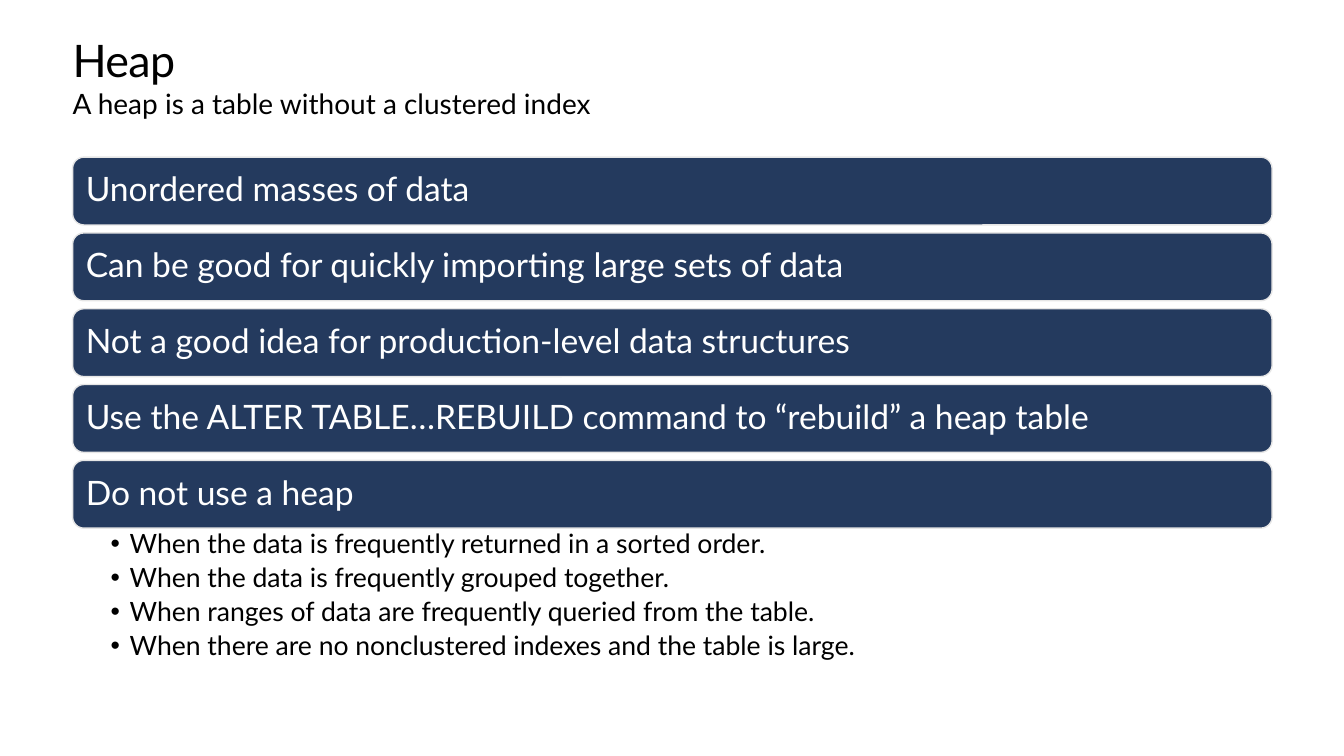
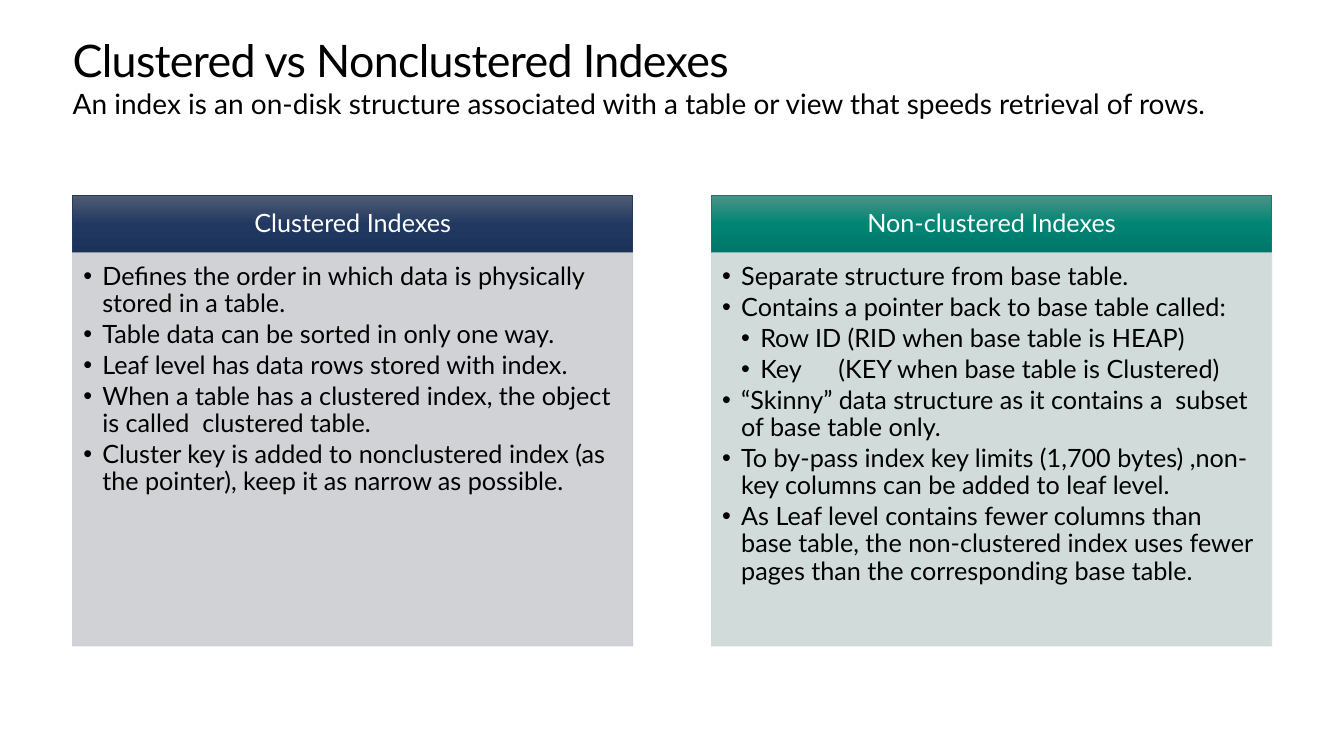
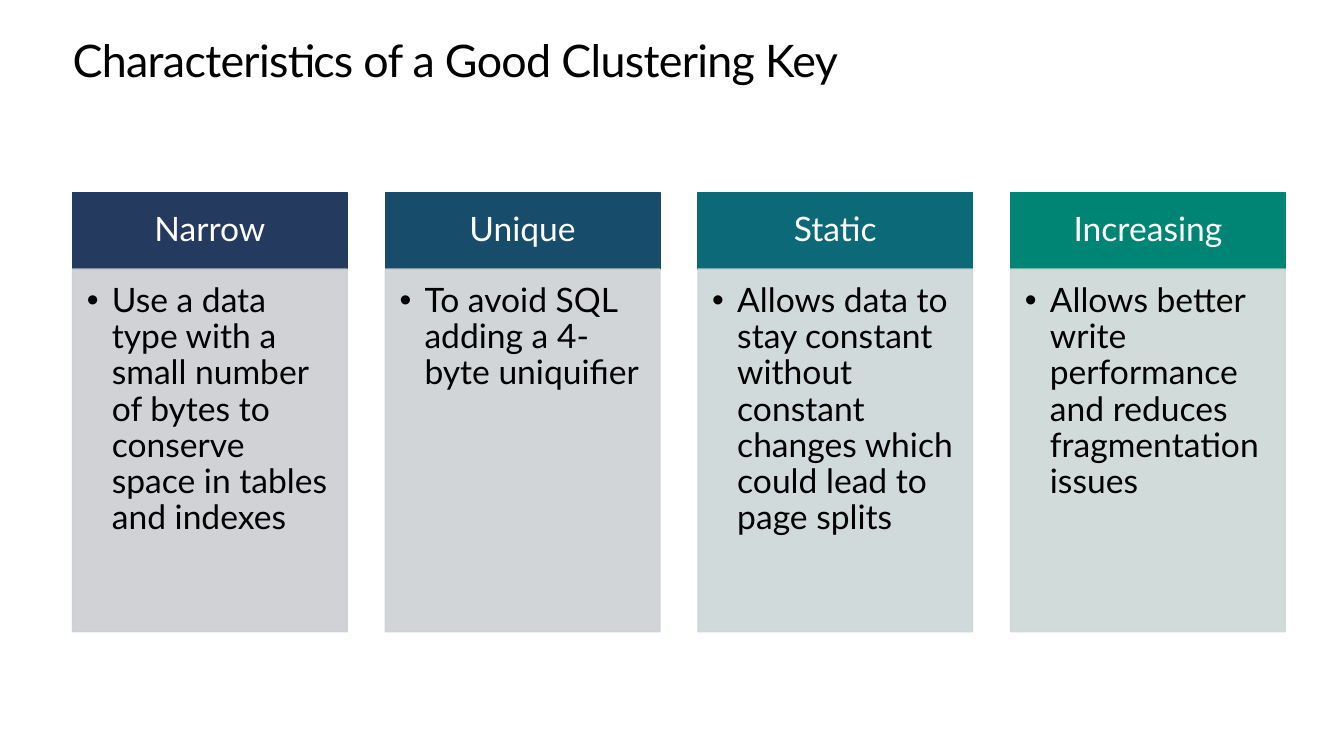
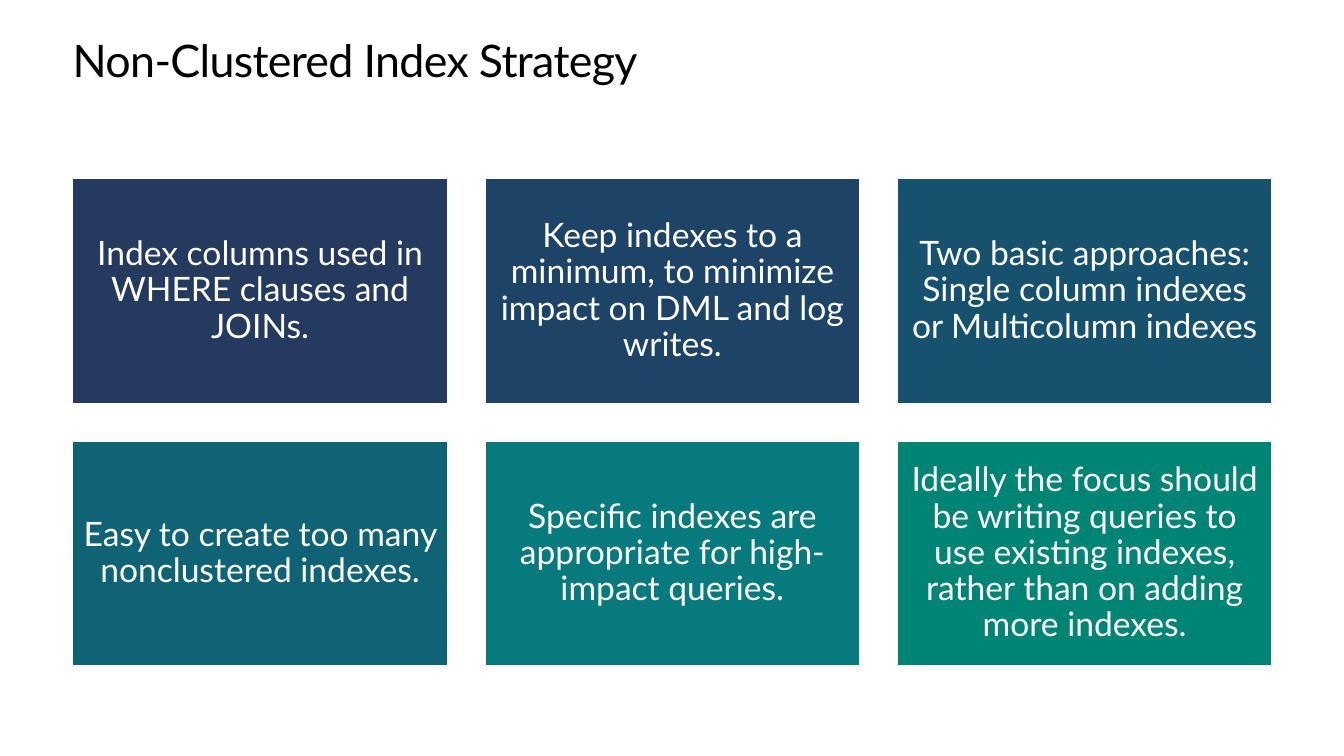
from copy import deepcopy
from dataclasses import dataclass

from lxml.etree import SubElement
from pptx import Presentation
from pptx.dml.color import RGBColor
from pptx.enum.shapes import MSO_SHAPE
from pptx.enum.text import MSO_ANCHOR, MSO_AUTO_SIZE, PP_ALIGN
from pptx.oxml.ns import qn
from pptx.util import Cm, Pt

FONT = "Lato"
COLORS = {
    "black": "000000",
    "white": "FFFFFF",
    "outline": "E6E6E6",
    "navy": "243A5E",
    "navy_top": "505B73",
    "navy_mid": "213961",
    "navy_end": "1B3259",
    "navy_tint": "CDCED2",
    "blue": "1D4366",
    "ocean": "184C6B",
    "ocean_tint": "CCD1D4",
    "steel": "16516D",
    "petrol": "0F6375",
    "lagoon": "0C6A78",
    "lagoon_tint": "CCD6D7",
    "teal": "077A7D",
    "green": "008575",
    "green_top": "4B9385",
    "green_end": "007668",
    "green_tint": "CCD9D6",
}
LEFT, WIDTH = 1.83, 30.23


@dataclass(frozen=True)
class Box:
    left: float
    top: float
    width: float
    height: float


@dataclass(frozen=True)
class TextStyle:
    size: float
    color: str = "white"
    align: PP_ALIGN = PP_ALIGN.LEFT
    anchor: MSO_ANCHOR = MSO_ANCHOR.MIDDLE
    insets: tuple[float, float, float, float] = (0.25, 0.25, 0.25, 0.25)
    after: float = 8.4
    indent: float = 0


@dataclass(frozen=True)
class Line:
    text: str
    depth: int = 1
    tab: float = 0


@dataclass(frozen=True)
class Card:
    head: str
    lines: tuple[Line, ...]
    color: str
    tint: str
    stops: tuple[str, ...] = ()


@dataclass(frozen=True)
class CardRow:
    top: float
    width: float
    pitch: float
    head_height: float
    body_height: float
    line_width: float
    head: TextStyle
    body: TextStyle


@dataclass(frozen=True)
class Tile:
    text: str
    color: str


BAR = TextStyle(24)
TILE = TextStyle(24, align=PP_ALIGN.CENTER)
SUB_BULLETS = TextStyle(19, "black", anchor=MSO_ANCHOR.TOP,
                        insets=(0.96, 0.06, 0.48, 0.06), after=3.8, indent=0.48)
PAIR = CardRow(
    4.93, 14.12, 16.1, 1.44, 9.91, 0.5,
    TextStyle(18, align=PP_ALIGN.CENTER, insets=(0.36, 0.2, 0.36, 0.2), after=6.3),
    TextStyle(18, "black", anchor=MSO_ANCHOR.TOP,
              insets=(0.27, 0.27, 0.36, 0.4), after=2.7, indent=0.48),
)
QUARTET = CardRow(
    4.85, 6.92, 7.88, 1.93, 9.14, 1,
    TextStyle(24, align=PP_ALIGN.CENTER, insets=(0.48, 0.28, 0.48, 0.28)),
    TextStyle(24, "black", anchor=MSO_ANCHOR.TOP,
              insets=(0.36, 0.36, 0.48, 0.53), after=3.6, indent=0.63),
)

HEAP_BARS = (
    "Unordered masses of data",
    "Can be good for quickly importing large sets of data",
    "Not a good idea for production-level data structures",
    "Use the ALTER TABLE…REBUILD command to “rebuild” a heap table",
    "Do not use a heap",
)
HEAP_CASES = (
    Line("When the data is frequently returned in a sorted order."),
    Line("When the data is frequently grouped together."),
    Line("When ranges of data are frequently queried from the table."),
    Line("When there are no nonclustered indexes and the table is large."),
)
INDEX_CARDS = (
    Card("Clustered Indexes", (
        Line("Defines the order in which data is physically stored in a table."),
        Line("Table data can be sorted in only one way."),
        Line("Leaf level has data rows stored with index."),
        Line("When a table has a clustered index, the object is called  clustered table."),
        Line("Cluster key is added to nonclustered index (as the pointer), "
             "keep it as narrow as possible."),
    ), "navy", "navy_tint", ("navy_top", "navy_mid", "navy_end")),
    Card("Non-clustered Indexes", (
        Line("Separate structure from base table."),
        Line("Contains a pointer back to base table called:"),
        Line("Row ID (RID when base table is HEAP)", 2),
        Line("Key\t(KEY when base table is Clustered)", 2, 2.93),
        Line("“Skinny” data structure as it contains a  subset of base table only."),
        Line("To by-pass index key limits (1,700 bytes) ,non-key columns "
             "can be added to leaf level."),
        Line("As Leaf level contains fewer columns than base table, the non-clustered "
             "index uses fewer pages than the corresponding base table."),
    ), "green", "green_tint", ("green_top", "green", "green_end")),
)
KEY_CARDS = (
    Card("Narrow", (Line("Use a data type with a small number of bytes to conserve "
                         "space in tables and indexes"),), "navy", "navy_tint"),
    Card("Unique", (Line("To avoid SQL adding a 4-byte uniquifier"),),
         "ocean", "ocean_tint"),
    Card("Static", (Line("Allows data to stay constant without constant changes "
                         "which could lead to page splits"),), "lagoon", "lagoon_tint"),
    Card("Increasing", (Line("Allows better write performance and reduces "
                             "fragmentation issues"),), "green", "green_tint"),
)
STRATEGY_TILES = (
    Tile("Index columns used in WHERE clauses and JOINs.", "navy"),
    Tile("Keep indexes to a minimum, to minimize impact on DML and log writes.", "blue"),
    Tile("Two basic approaches: Single column indexes or Multicolumn indexes", "steel"),
    Tile("Easy to create too many nonclustered indexes.", "petrol"),
    Tile("Specific indexes are appropriate for high-impact queries.", "teal"),
    Tile("Ideally the focus should be writing queries to use existing indexes, "
         "rather than on adding more indexes.", "green"),
)


def rgb(name: str) -> RGBColor:
    return RGBColor.from_string(COLORS[name])


def place(box: Box) -> tuple[Cm, Cm, Cm, Cm]:
    return Cm(box.left), Cm(box.top), Cm(box.width), Cm(box.height)


def add_run(p, text: str, size: float, color: str):
    r = p.add_run()
    r.text = text
    r.font.name = FONT
    r.font.size = Pt(size)
    r.font.color.rgb = rgb(color)
    return r


def set_frame(tf, insets: tuple[float, ...], anchor: MSO_ANCHOR) -> None:
    tf.word_wrap = True
    tf.auto_size = MSO_AUTO_SIZE.NONE
    tf.vertical_anchor = anchor
    tf.margin_left, tf.margin_top, tf.margin_right, tf.margin_bottom = map(Cm, insets)


def set_bullet(p, line: Line, indent: float) -> None:
    p.level = line.depth
    pPr = p._p.get_or_add_pPr()
    pPr.set("marL", str(Cm(indent * line.depth)))
    pPr.set("indent", str(-Cm(indent)))
    SubElement(pPr, qn("a:buFont"), typeface="Arial")
    SubElement(pPr, qn("a:buChar"), char="•")
    if line.tab:
        tabs = SubElement(pPr, qn("a:tabLst"))
        SubElement(tabs, qn("a:tab"), pos=str(Cm(line.tab)), algn="l")


def write(sp, lines: tuple[Line, ...], style: TextStyle) -> None:
    tf = sp.text_frame
    set_frame(tf, style.insets, style.anchor)
    for i, line in enumerate(lines):
        p = tf.add_paragraph() if i else tf.paragraphs[0]
        p.alignment = style.align
        p.line_spacing = 0.9
        p.space_after = Pt(style.after)
        if style.indent:
            set_bullet(p, line, style.indent)
        add_run(p, line.text, style.size, style.color)


def add_block(s, box: Box, fill: str, line: str, line_width: float = 1,
              kind: MSO_SHAPE = MSO_SHAPE.RECTANGLE):
    sp = s.shapes.add_shape(kind, *place(box))
    sp.shadow.inherit = False
    sp.fill.solid()
    sp.fill.fore_color.rgb = rgb(fill)
    sp.line.color.rgb = rgb(line)
    sp.line.width = Pt(line_width)
    return sp


def set_gradient(sp, names: tuple[str, ...]) -> None:
    sp.fill.gradient()
    sp.fill.gradient_angle = 270
    stops = sp.element.spPr.find(qn("a:gradFill")).find(qn("a:gsLst"))
    stops.append(deepcopy(stops[0]))
    for i, (stop, name) in enumerate(zip(sp.fill.gradient_stops, names)):
        stop.position = i / (len(names) - 1)
        stop.color.rgb = rgb(name)


def set_opacity(sp, percent: int) -> None:
    for clr in sp.element.spPr.iter(qn("a:srgbClr")):
        SubElement(clr, qn("a:alpha"), val=str(percent * 1000))


def add_slide(prs, title: str, subtitle: str = ""):
    s = prs.slides.add_slide(prs.slide_layouts[5])
    sp = s.shapes.title
    sp.left, sp.top, sp.width, sp.height = place(Box(LEFT, 0.89, WIDTH, 1.27))
    set_frame(sp.text_frame, (0, 0, 0, 0), MSO_ANCHOR.TOP)
    p = sp.text_frame.paragraphs[0]
    p.alignment = PP_ALIGN.LEFT
    p.line_spacing = Pt(36.2)
    r = add_run(p, title, 32, "black")
    r._r.get_or_add_rPr().set("spc", "-50")
    if subtitle:
        sp = s.shapes.add_textbox(*place(Box(LEFT, 2.18, WIDTH, 1.27)))
        set_frame(sp.text_frame, (0, 0, 0, 0), MSO_ANCHOR.TOP)
        p = sp.text_frame.paragraphs[0]
        p.space_before = Pt(6.7)
        add_run(p, subtitle, 20, "black")
    return s


def add_cards(s, cards: tuple[Card, ...], row: CardRow) -> None:
    for i, card in enumerate(cards):
        left = LEFT + i * row.pitch
        head = add_block(s, Box(left, row.top, row.width, row.head_height),
                         card.color, card.color, row.line_width)
        if card.stops:
            set_gradient(head, card.stops)
        write(head, (Line(card.head),), row.head)
        body = add_block(s, Box(left, row.top + row.head_height, row.width, row.body_height),
                         card.tint, card.tint, row.line_width)
        set_opacity(body, 90)
        write(body, card.lines, row.body)


def build_heap(prs) -> None:
    s = add_slide(prs, "Heap", "A heap is a table without a clustered index")
    top, height, pitch = 3.96, 1.71, 1.91
    for i, text in enumerate(HEAP_BARS):
        sp = add_block(s, Box(LEFT, top + i * pitch, WIDTH, height),
                       "navy", "outline", kind=MSO_SHAPE.ROUNDED_RECTANGLE)
        write(sp, (Line(text),), BAR)
    sp = s.shapes.add_textbox(*place(Box(LEFT, 13.31, WIDTH, 3.94)))
    write(sp, HEAP_CASES, SUB_BULLETS)


def build_comparison(prs) -> None:
    s = add_slide(prs, "Clustered vs Nonclustered Indexes",
                  "An index is an on-disk structure associated with a table or view "
                  "that speeds retrieval of rows.")
    add_cards(s, INDEX_CARDS, PAIR)


def build_key(prs) -> None:
    s = add_slide(prs, "Characteristics of a Good Clustering Key")
    add_cards(s, KEY_CARDS, QUARTET)


def build_strategy(prs) -> None:
    s = add_slide(prs, "Non-Clustered Index Strategy")
    top, width, height, gap, columns = 4.5, 9.45, 5.67, 0.94, 3
    for i, tile in enumerate(STRATEGY_TILES):
        row, column = divmod(i, columns)
        box = Box(LEFT + column * (width + gap), top + row * (height + gap), width, height)
        write(add_block(s, box, tile.color, "white"), (Line(tile.text),), TILE)


def main() -> None:
    prs = Presentation()
    prs.slide_width, prs.slide_height = Cm(33.87), Cm(19.05)
    for build in (build_heap, build_comparison, build_key, build_strategy):
        build(prs)
    prs.save("out.pptx")


if __name__ == "__main__":
    main()
